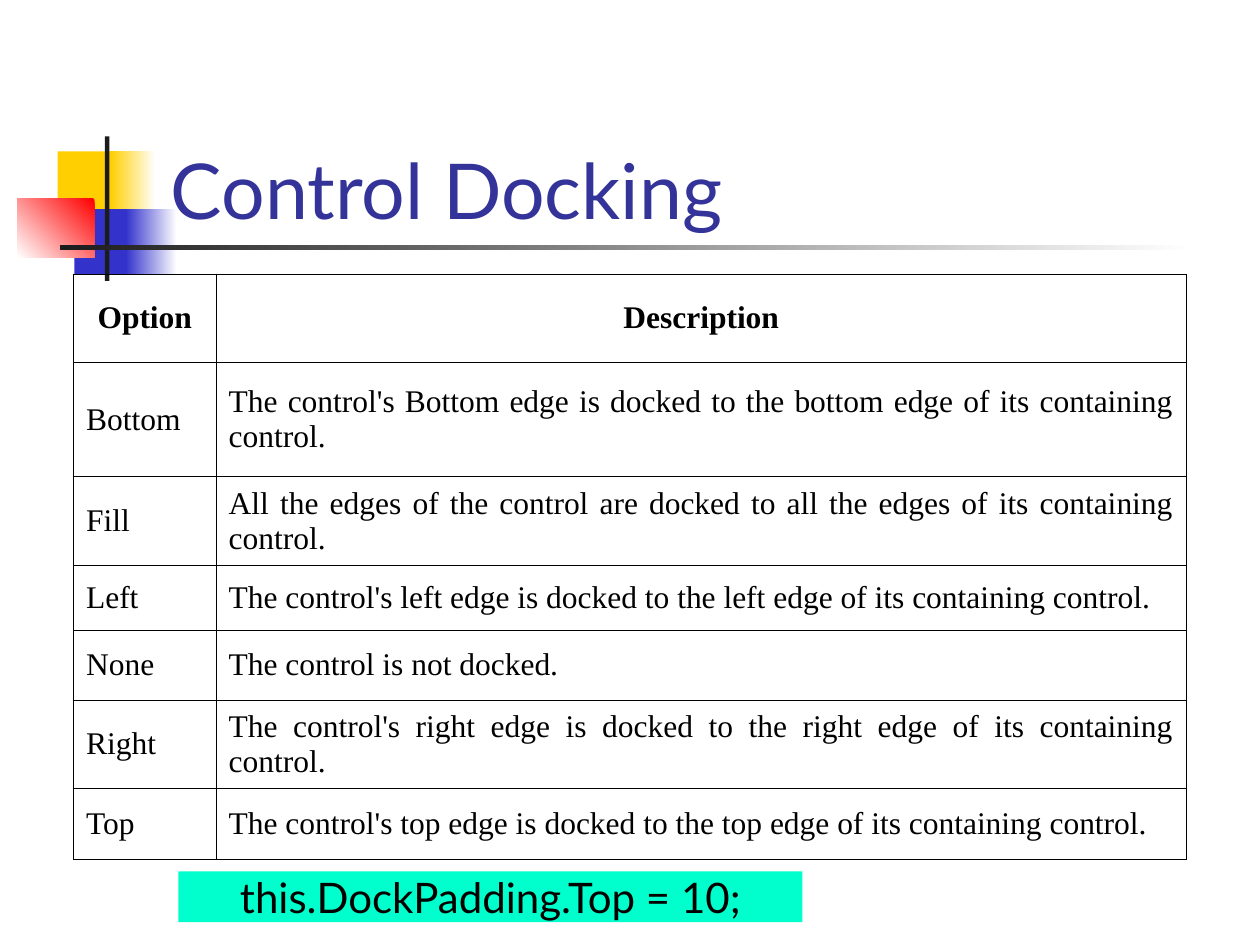
"""Build the Control Docking slide."""
import dataclasses
import typing

import lxml.etree
import pptx
import pptx.dml.color
import pptx.enum.shapes
import pptx.enum.text
import pptx.oxml.ns
import pptx.util

Pt = pptx.util.Pt
ALIGN = pptx.enum.text.PP_ALIGN
ANCHOR = pptx.enum.text.MSO_ANCHOR


@dataclasses.dataclass(frozen=True)
class Theme:
    heading_font: str = "Lato"
    table_font: str = "Times New Roman"
    title_size: float = 44
    code_size: float = 24
    table_size: float = 18
    title: str = "333399"
    text: str = "000000"
    white: str = "FFFFFF"
    yellow: str = "FFCF01"
    blue: str = "3333CC"
    red: str = "FF0000"
    dark: str = "1C1C1C"
    code_fill: str = "00FFCC"
    border: float = 0.45


@dataclasses.dataclass(frozen=True)
class Block:
    left: float
    top: float
    width: float
    height: float
    colors: tuple[str, ...]
    angle: float = 180


class Option(typing.NamedTuple):
    name: str
    description: str
    height: float


THEME = Theme()
BLOCKS = (
    Block(33, 86.5, 34.5, 37.5, (THEME.yellow,)),
    Block(63, 86.5, 26, 37.5, (THEME.white, THEME.yellow)),
    Block(42.5, 119.5, 33, 37.5, (THEME.blue,)),
    Block(72, 119.5, 29, 37.5, (THEME.white, THEME.blue)),
    Block(10, 113.5, 44, 33.5, (THEME.red, THEME.white), 225),
    Block(60, 78, 2.5, 82.5, (THEME.dark,)),
    Block(34.5, 140.2, 648, 2.5, (THEME.white, THEME.dark)),
)
CODE_BLOCK = Block(102, 498, 356.5, 29, (THEME.code_fill,))
COLUMNS = (81.5, 554.5)
OPTIONS = (
    Option("Option", "Description", 50.5),
    Option("Bottom", "The control's Bottom edge is docked to the bottom edge of its containing control.", 65.5),
    Option("Fill", "All the edges of the control are docked to all the edges of its containing control.", 50.5),
    Option("Left", "The control's left edge is docked to the left edge of its containing control.", 37),
    Option("None", "The control is not docked.", 40),
    Option("Right", "The control's right edge is docked to the right edge of its containing control.", 50.5),
    Option("Top", "The control's top edge is docked to the top edge of its containing control.", 40.5),
)


def rgb(color: str) -> pptx.dml.color.RGBColor:
    """Convert a hex string to a colour."""
    return pptx.dml.color.RGBColor.from_string(color)


def write_text(tf, text: str, *, size: float, font: str, color: str = THEME.text,
               bold: bool = False, align=ALIGN.LEFT) -> None:
    """Put one formatted paragraph into a text frame."""
    p = tf.paragraphs[0]
    p.alignment = align
    r = p.add_run()
    r.text = text
    r.font.size = Pt(size)
    r.font.name = font
    r.font.bold = bold
    r.font.color.rgb = rgb(color)


def draw_block(s, block: Block):
    """Draw a rectangle with a solid or gradient fill."""
    sp = s.shapes.add_shape(pptx.enum.shapes.MSO_SHAPE.RECTANGLE, Pt(block.left),
                            Pt(block.top), Pt(block.width), Pt(block.height))
    sp.shadow.inherit = False
    sp.line.fill.background()
    if len(block.colors) == 1:
        sp.fill.solid()
        sp.fill.fore_color.rgb = rgb(block.colors[0])
    else:
        sp.fill.gradient()
        sp.fill.gradient_angle = block.angle
        for stop, color in zip(sp.fill.gradient_stops, block.colors):
            stop.color.rgb = rgb(color)
    return sp


def draw_title(s, text: str) -> None:
    """Draw the slide title."""
    tf = s.shapes.add_textbox(Pt(90.5), Pt(48), Pt(613.5), Pt(90)).text_frame
    tf.word_wrap = True
    tf.vertical_anchor = ANCHOR.BOTTOM
    write_text(tf, text, size=THEME.title_size, font=THEME.heading_font, color=THEME.title)


def set_borders(cell) -> None:
    """Give a cell a thin line on all four sides."""
    qn = pptx.oxml.ns.qn
    tc_pr = cell._tc.get_or_add_tcPr()
    for i, side in enumerate(("a:lnL", "a:lnR", "a:lnT", "a:lnB")):
        ln = lxml.etree.Element(qn(side), w=str(int(Pt(THEME.border))))
        fill = lxml.etree.SubElement(ln, qn("a:solidFill"))
        lxml.etree.SubElement(fill, qn("a:srgbClr"), val=THEME.text)
        tc_pr.insert(i, ln)


def draw_table(s, options: tuple[Option, ...]) -> None:
    """Draw the table of docking options."""
    height = sum(option.height for option in options)
    table = s.shapes.add_table(len(options), len(COLUMNS), Pt(42), Pt(156.5),
                               Pt(sum(COLUMNS)), Pt(height)).table
    table.first_row = table.horz_banding = False
    for column, width in zip(table.columns, COLUMNS):
        column.width = Pt(width)
    for i, option in enumerate(options):
        header = i == 0
        table.rows[i].height = Pt(option.height)
        for cell, text in zip(table.rows[i].cells, (option.name, option.description)):
            cell.fill.background()
            cell.vertical_anchor = ANCHOR.MIDDLE
            set_borders(cell)
            write_text(cell.text_frame, text, size=THEME.table_size, font=THEME.table_font,
                       bold=header, align=ALIGN.CENTER if header else ALIGN.JUSTIFY)


def draw_code(s, text: str) -> None:
    """Draw the highlighted line of code."""
    tf = draw_block(s, CODE_BLOCK).text_frame
    tf.margin_left = tf.margin_right = tf.margin_top = tf.margin_bottom = Pt(0)
    tf.word_wrap = True
    tf.auto_size = pptx.enum.text.MSO_AUTO_SIZE.SHAPE_TO_FIT_TEXT
    tf.vertical_anchor = ANCHOR.MIDDLE
    write_text(tf, text, size=THEME.code_size, font=THEME.heading_font, align=ALIGN.CENTER)


def main() -> None:
    """Build and save the slide."""
    prs = pptx.Presentation()
    prs.slide_width, prs.slide_height = Pt(720), Pt(540)
    s = prs.slides.add_slide(prs.slide_layouts[6])
    for block in BLOCKS:
        draw_block(s, block)
    draw_title(s, "Control Docking")
    draw_table(s, OPTIONS)
    draw_code(s, "this.DockPadding.Top = 10;")
    prs.save("out.pptx")


if __name__ == "__main__":
    main()
